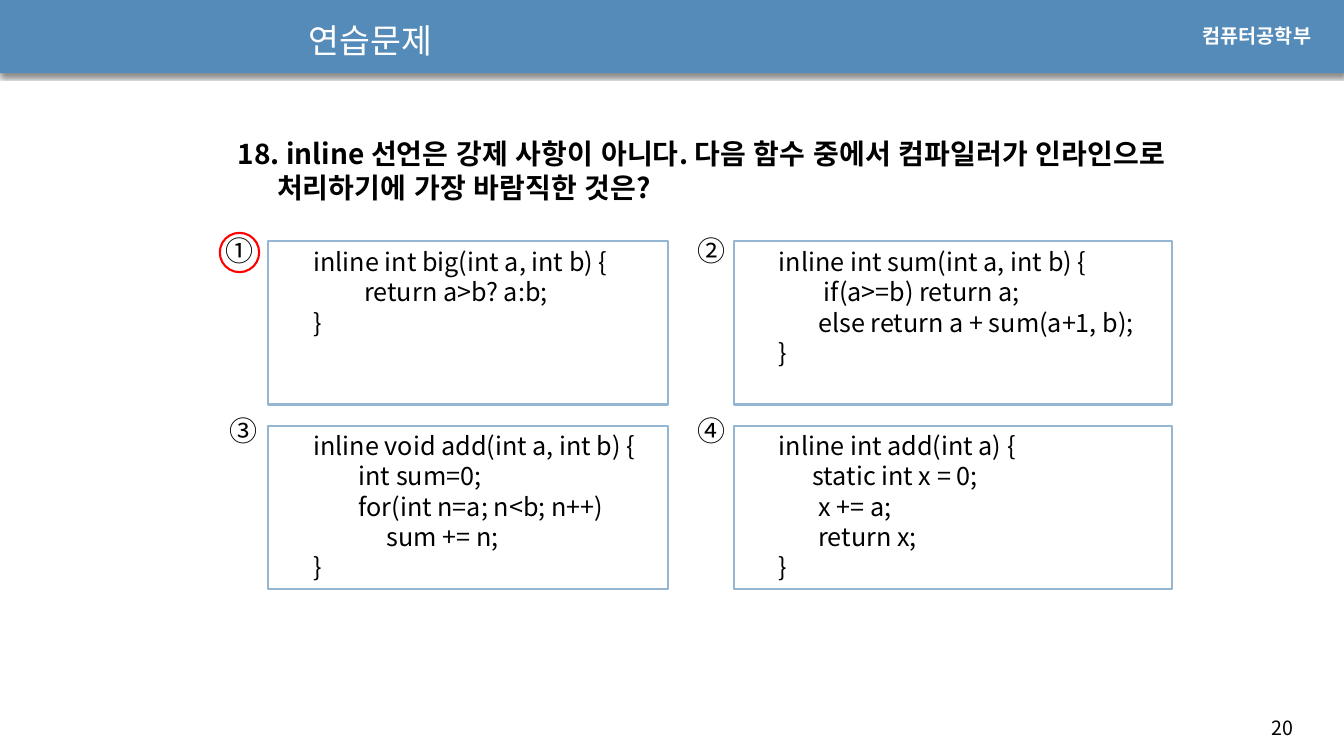
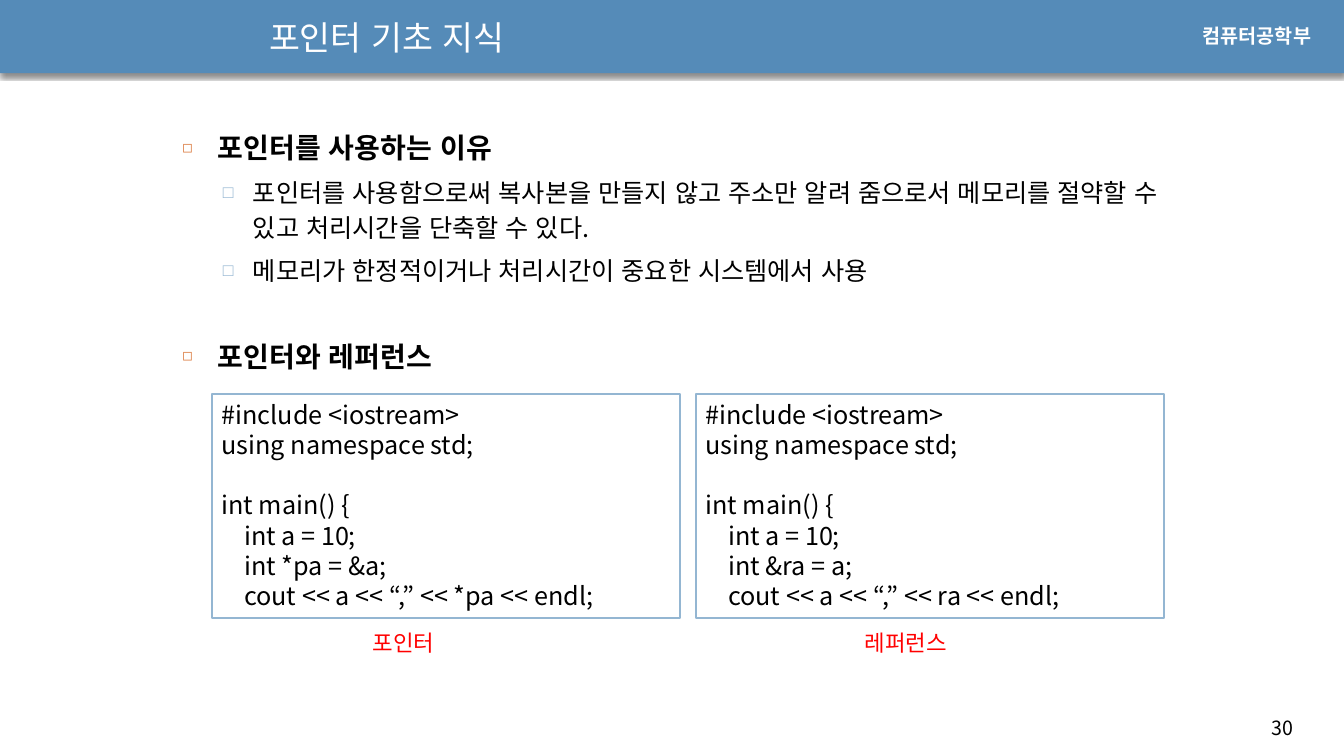
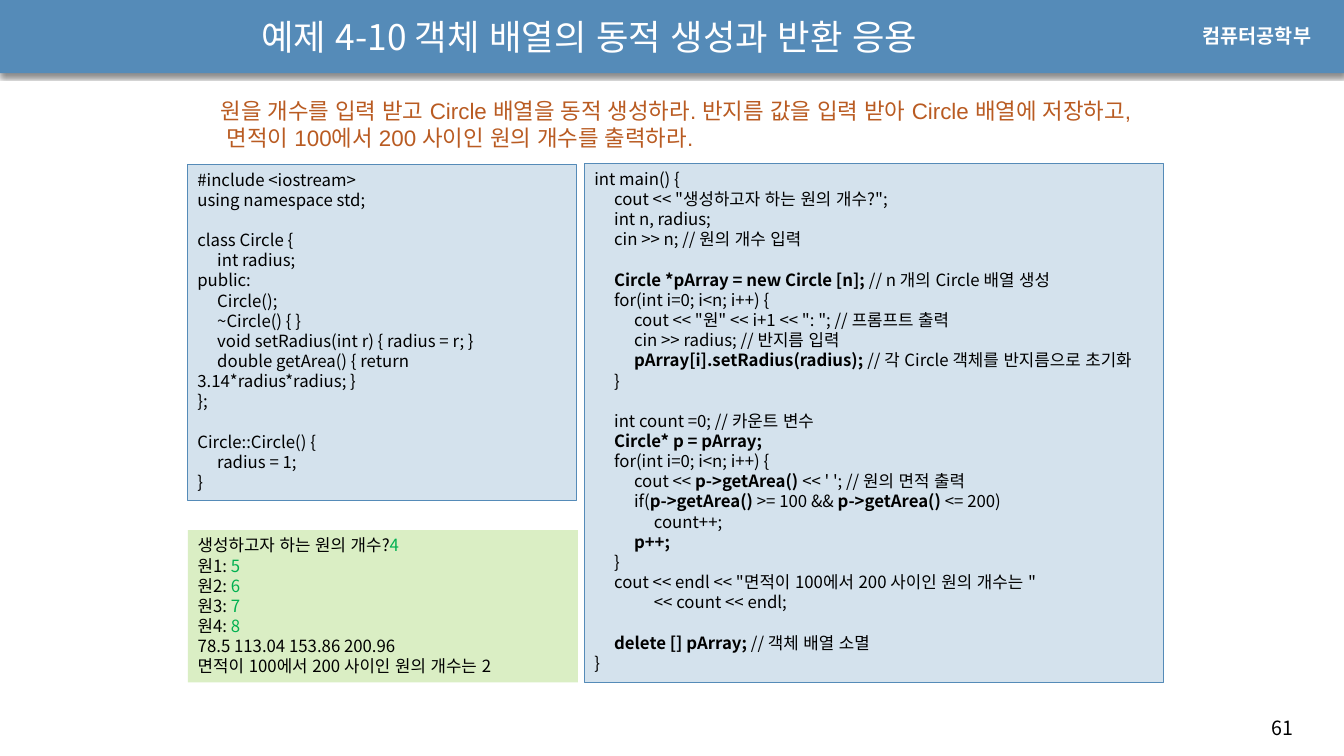
from lxml import etree
from pptx import Presentation
from pptx.dml.color import RGBColor
from pptx.enum import shapes, text
from pptx.oxml.ns import qn
from pptx.util import Pt

BAND = RGBColor(0x55, 0x8B, 0xB8)
SKY = RGBColor(0x94, 0xB6, 0xD2)
ORANGE = RGBColor(0xDD, 0x80, 0x47)
RUST = RGBColor(0xB9, 0x5B, 0x22)
PALE_BLUE = RGBColor(0xD4, 0xE2, 0xED)
PALE_GREEN = RGBColor(0xDA, 0xEE, 0xC4)
GREEN = RGBColor(0x00, 0xB0, 0x50)
RED = RGBColor(0xFF, 0x00, 0x00)
BLACK = RGBColor(0x00, 0x00, 0x00)
WHITE = RGBColor(0xFF, 0xFF, 0xFF)
KOREAN = "Noto Sans CJK KR"
LATIN = "Arial"
DEPARTMENT = "컴퓨터공학부"

QUESTION = "18. inline 선언은 강제 사항이 아니다. 다음 함수 중에서 컴파일러가 인라인으로 처리하기에 가장 바람직한 것은?"
CHOICES = [
    ("①", 154.1, """inline int big(int a, int b) {
         return a>b? a:b;
}"""),
    ("②", 491, """inline int sum(int a, int b) {
        if(a>=b) return a;
       else return a + sum(a+1, b);
}"""),
    ("③", 157, """inline void add(int a, int b) {
        int sum=0;
        for(int n=a; n<b; n++)
             sum += n;
}"""),
    ("④", 491, """inline int add(int a) {
      static int x = 0;
       x += a;
       return x;
}"""),
]

POINTER_NOTES = [
    (0, 0, "포인터를 사용하는 이유"),
    (1, 0, "포인터를 사용함으로써 복사본을 만들지 않고 주소만 알려 줌으로서 메모리를 절약할 수 있고 처리시간을 단축할 수 있다."),
    (1, 0, "메모리가 한정적이거나 처리시간이 중요한 시스템에서 사용"),
    (0, 31, "포인터와 레퍼런스"),
]
NOTE_LEVELS = [
    dict(size=20, bold=True, left=25.2, hang=25.2, bullet=("◻", ORANGE, 60)),
    dict(size=18, bold=False, left=50.4, hang=21.6, bullet=("□", SKY, 70)),
]
POINTER_CODE = """#include <iostream>
using namespace std;

int main() {
    int a = 10;
    int %s;
    cout << a << “,” << %s << endl;"""
COMPARISON = [
    ("포인터", 259.2, ("*pa = &a", "*pa")),
    ("레퍼런스", 610.6, ("&ra = a", "ra")),
]

TASK = "원을 개수를 입력 받고 Circle 배열을 동적 생성하라. 반지름 값을 입력 받아 Circle 배열에 저장하고, 면적이 100에서 200 사이인 원의 개수를 출력하라."
CONSOLE = """생성하고자 하는 원의 개수?`4`
원1: `5`
원2: `6`
원3: `7`
원4: `8`
78.5 113.04 153.86 200.96
면적이 100에서 200 사이인 원의 개수는 2"""
CLASS_CODE = """#include <iostream>
using namespace std;

class Circle {
\tint radius;
public:
\tCircle();
\t~Circle() { }
\tvoid setRadius(int r) { radius = r; }
\tdouble getArea() { return 3.14*radius*radius; }
};

Circle::Circle() {
\tradius = 1;
}"""
MAIN_CODE = """int main() {
\tcout << "생성하고자 하는 원의 개수?";
\tint n, radius;
\tcin >> n; // 원의 개수 입력

\t`Circle *pArray = new Circle [n]; `// n 개의 Circle 배열 생성
\tfor(int i=0; i<n; i++) {
\t\tcout << "원" << i+1 << ": "; // 프롬프트 출력
\t\tcin >> radius; // 반지름 입력
\t\t`pArray[i].setRadius(radius); `// 각 Circle 객체를 반지름으로 초기화
\t}

\tint count =0; // 카운트 변수
\t`Circle* p = pArray;`
\tfor(int i=0; i<n; i++) {
\t\tcout << `p->getArea() `<< ' '; // 원의 면적 출력
\t\tif(`p->getArea()` >= 100 && `p->getArea() `<= 200)
\t\t\tcount++;
\t\t`p++;`
\t}
\tcout << endl << "면적이 100에서 200 사이인 원의 개수는 "
\t\t\t<< count << endl;

\t`delete [] pArray; `// 객체 배열 소멸
}"""


def add_xml(parent, tag, **attrs):
    return etree.SubElement(parent, qn(tag), {k: str(v) for k, v in attrs.items()})


def place(sp, box):
    sp.left, sp.top, sp.width, sp.height = [Pt(v) for v in box]


def style(font, size, color=BLACK, bold=False, name=KOREAN):
    font.size, font.bold, font.name = Pt(size), bold, name
    font.color.rgb = color


def style_run(r, size, **look):
    style(r.font, size, **look)
    ea = etree.Element(qn("a:ea"), typeface=LATIN)
    r.font._element.find(qn("a:latin")).addnext(ea)


def set_paragraph(p, left=0, hang=0, bullet=None, tab=None):
    pPr = p._p.get_or_add_pPr()
    pPr.set("marL", str(Pt(left)))
    pPr.set("indent", str(-Pt(hang)))
    if tab:
        pPr.set("defTabSz", str(Pt(tab)))
    if bullet:
        char, color, percent = bullet
        add_xml(add_xml(pPr, "a:buClr"), "a:srgbClr", val=color)
        add_xml(pPr, "a:buSzPct", val=percent * 1000)
        add_xml(pPr, "a:buFont", typeface=LATIN)
        add_xml(pPr, "a:buChar", char=char)
    else:
        add_xml(pPr, "a:buNone")
    p.alignment = text.PP_ALIGN.LEFT
    p.space_before = Pt(0)


def write(sp, content, size, mark=None, left=0, hang=0, tab=None,
          anchor=text.MSO_ANCHOR.TOP, **look):
    tf = sp.text_frame
    tf.word_wrap, tf.auto_size = True, text.MSO_AUTO_SIZE.NONE
    tf.vertical_anchor = anchor
    tf.text = content.replace("`", "")
    for p, line in zip(tf.paragraphs, content.split("\n")):
        set_paragraph(p, left, hang, tab=tab)
        if "`" in line:
            p.text = ""
            for i, piece in enumerate(line.split("`")):
                if piece:
                    r = p.add_run()
                    r.text = piece
                    style_run(r, size, **{**look, **(mark if i % 2 else {})})
        elif line:
            style_run(p.runs[0], size, **look)
        else:
            style(p.font, size, **look)


def add_text(s, box, content, size, **look):
    sp = s.shapes.add_textbox(*[Pt(v) for v in box])
    write(sp, content, size, **look)
    return sp


def add_box(s, box, fill=None, line=None, width=1.5, kind=shapes.MSO_SHAPE.RECTANGLE):
    sp = s.shapes.add_shape(kind, *[Pt(v) for v in box])
    sp.shadow.inherit = False
    if fill is None:
        sp.fill.background()
    else:
        sp.fill.solid()
        sp.fill.fore_color.rgb = fill
    if line is None:
        sp.line.fill.background()
    else:
        sp.line.color.rgb = line
        sp.line.width = Pt(width)
    return sp


def decorate_master(prs, s):
    band = add_box(s, (0, -0.4, 960, 52.6), BAND)
    effects = band._element.spPr.find(qn("a:effectLst"))
    shadow = add_xml(effects, "a:outerShdw", blurRad=Pt(3), dist=Pt(2.4),
                     dir=5400000, algn="ctr", rotWithShape=0)
    add_xml(add_xml(shadow, "a:srgbClr", val="000000"), "a:alpha", val=45000)
    label = add_text(s, (851.8, 13.7, 98.6, 24.5), DEPARTMENT, 14,
                     color=WHITE, bold=True, name=LATIN)
    for i, sp in enumerate((band, label)):
        sp._element.xpath(".//p:cNvPr")[0].set("id", str(100 + i))
        prs.slide_master.shapes.element.insert(2 + i, sp._element)


def add_slide(prs, layout, title, box, number, size=24):
    s = prs.slides.add_slide(prs.slide_layouts[layout])
    place(s.shapes.title, box)
    write(s.shapes.title, title, size, color=WHITE, anchor=text.MSO_ANCHOR.MIDDLE)
    add_text(s, (901.4, 507.6, 51.1, 24.5), number, 14)
    return s


def build_quiz(prs):
    s = add_slide(prs, 1, "연습문제", (213.5, 5.8, 147.6, 45.4), "20")
    body = s.placeholders[1]
    place(body, (162.7, 94, 691.9, 72))
    write(body, QUESTION, 20, bold=True, left=28, hang=28)
    columns = [(191.7, 285.8), (524, 313.2)]
    rows = [(163.4, 172.4), (291.6, 304)]
    for i, (mark, mark_x, code) in enumerate(CHOICES):
        x, w = columns[i % 2]
        mark_y, y = rows[i // 2]
        write(add_box(s, (x, y, w, 116.6), WHITE, SKY), code, 18, left=25.2)
        add_text(s, (mark_x, mark_y, 33.8, 31.7), mark, 20)
    add_box(s, (157, 166.3, 28.1, 28.1), line=RED, kind=shapes.MSO_SHAPE.OVAL)
    return s


def build_pointers(prs):
    s = add_slide(prs, 1, "포인터 기초 지식", (185, 3.6, 481.7, 45.4), "30")
    body = s.placeholders[1]
    place(body, (123.1, 88.6, 748.1, 190))
    tf = body.text_frame
    tf.auto_size = text.MSO_AUTO_SIZE.NONE
    tf.text = "\n".join(note for _, _, note in POINTER_NOTES)
    for p, (level, gap, _) in zip(tf.paragraphs, POINTER_NOTES):
        look = NOTE_LEVELS[level]
        p.level = level
        set_paragraph(p, look["left"], look["hang"], look["bullet"])
        p.line_spacing, p.space_before, p.space_after = Pt(25), Pt(gap), Pt(6)
        style_run(p.runs[0], look["size"], bold=look["bold"])
    for i, (caption, caption_x, names) in enumerate(COMPARISON):
        box = add_box(s, (151.2 + 345.7 * i, 281.5, 334.8, 159.8), WHITE, SKY)
        write(box, POINTER_CODE % names, 18)
        add_text(s, (caption_x, 445.7, 85, 26.6), caption, 16, color=RED)


def build_example(prs):
    s = add_slide(prs, 5, "예제 4-10 객체 배열의 동적 생성과 반환 응용",
                  (179.3, 3.6, 572.4, 45.4), "61", 25.2)
    write(add_box(s, (134.2, 378.7, 278.6, 108.7), PALE_GREEN), CONSOLE, 12,
          mark=dict(color=GREEN))
    for box, code in (((133.9, 117.4, 277.9, 239.8), CLASS_CODE),
                      ((417.4, 116.9, 414, 370.8), MAIN_CODE)):
        write(add_box(s, box, PALE_BLUE, BAND, 0.75), code, 12,
              mark=dict(bold=True), tab=14.2)
    add_text(s, (150.5, 66.2, 663.8, 46.1), TASK, 16, color=RUST, name=LATIN)


def main():
    prs = Presentation()
    prs.slide_width, prs.slide_height = Pt(960), Pt(540)
    decorate_master(prs, build_quiz(prs))
    build_pointers(prs)
    build_example(prs)
    prs.save("out.pptx")


if __name__ == "__main__":
    main()
